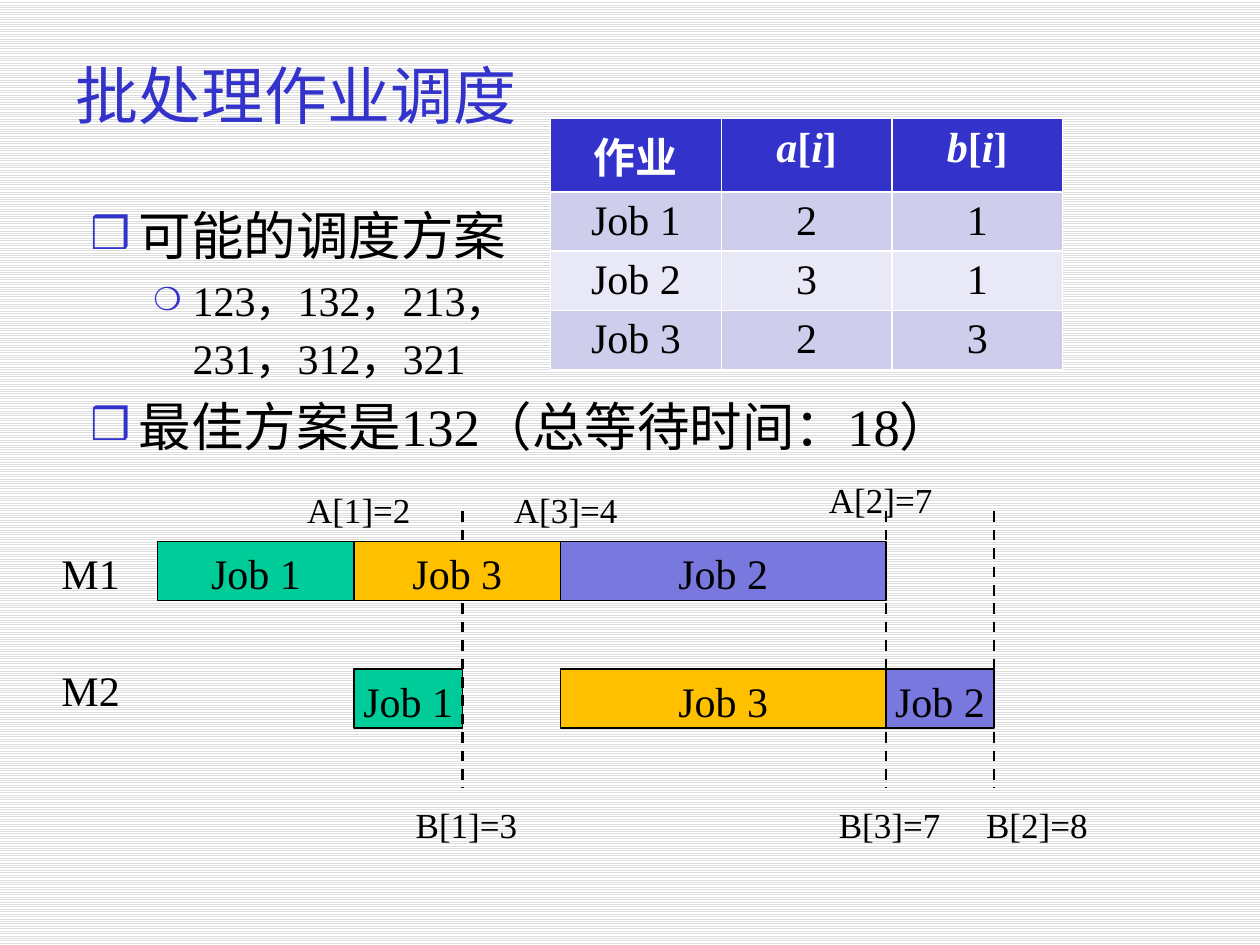
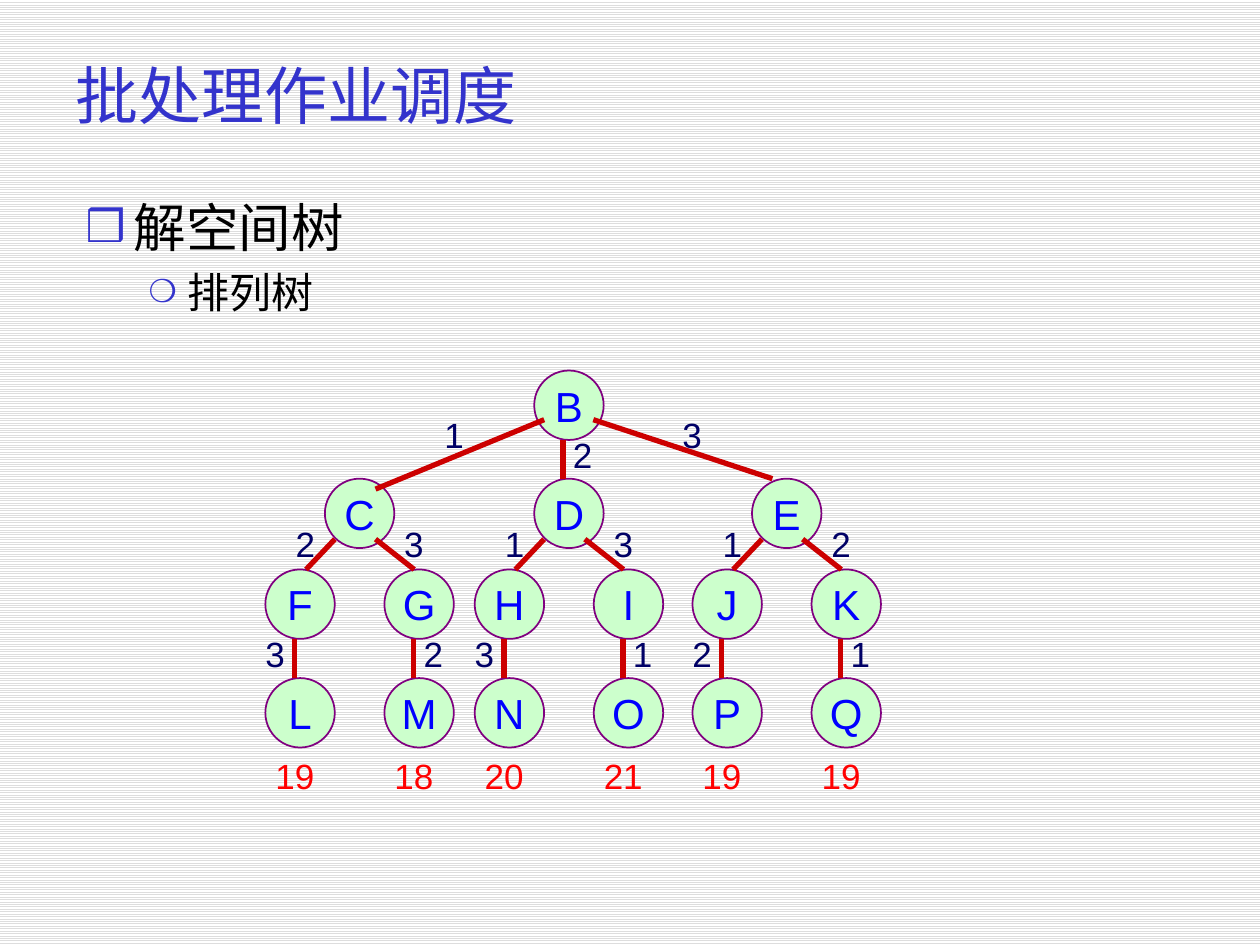
from lxml import etree
from pptx import Presentation
from pptx.dml.color import RGBColor
from pptx.enum import dml, shapes, text
from pptx.oxml import ns
from pptx.util import Cm, Pt

rgb = RGBColor.from_string
BLUE, BLACK, WHITE = "3333CC", "000000", "FFFFFF"
SERIF, SANS = "Times New Roman", "Arial"
CENTER = text.PP_ALIGN.CENTER
TIGHT = dict(margin_left=0, margin_right=0, margin_top=0, margin_bottom=0,
             vertical_anchor=text.MSO_ANCHOR.MIDDLE, word_wrap=False)


def write(para, words, colour, **formats):
    """Add a run of formatted words to the paragraph."""
    span = para.add_run()
    span.text = words
    span.font.color.rgb = rgb(colour)
    for name, value in formats.items():
        setattr(span.font, name, value)


def draw_line(page, start, end, colour, width):
    """Draw a shadowless straight line between two points in cm."""
    line = page.shapes.add_connector(shapes.MSO_CONNECTOR.STRAIGHT,
                                     *map(Cm, start + end))
    line.line.color.rgb = rgb(colour)
    line.line.width = Pt(width)
    etree.SubElement(line._element.spPr, ns.qn("a:effectLst"))
    return line


deck = Presentation()
deck.slide_width, deck.slide_height = Cm(25.4), Cm(19.05)
backdrop = deck.slide_master.background.fill
backdrop.patterned()
backdrop.pattern = dml.MSO_PATTERN.LIGHT_HORIZONTAL
backdrop.fore_color.rgb = rgb("DDDDDD")
backdrop.back_color.rgb = rgb(WHITE)

# Titles and lists: (level, bullet, words)
outlines = [
    (1.57, 3.96, [(0, "❒", "可能的调度方案"),
                  (1, "❍", "123，132，213，"),
                  (1, None, "231，312，321"),
                  (0, "❒", "最佳方案是132（总等待时间：18）")]),
    (1.47, 3.81, [(0, "❒", "解空间树"),
                  (1, "❍", "排列树")]),
]
# By level: text size, left margin, hanging indent, bullet percentage
levels = [(30, 0.97, 0.97, 85), (24, 2.06, 0.79, 75)]
pages = []
for left, top, items in outlines:
    page = deck.slides.add_slide(deck.slide_layouts[1])
    pages.append(page)
    title, body = page.placeholders
    for box, place in ((title, (1.27, 0.64, 21.59, 2.54)),
                       (body, (left, top, 21.59, 13.54))):
        box.left, box.top, box.width, box.height = map(Cm, place)
        box.text_frame.auto_size = text.MSO_AUTO_SIZE.NONE
    title.text_frame.vertical_anchor = text.MSO_ANCHOR.MIDDLE
    para = title.text_frame.paragraphs[0]
    para.alignment = text.PP_ALIGN.LEFT
    write(para, "批处理作业调度", BLUE, size=Pt(36), name=SERIF)

    for index, (level, bullet, words) in enumerate(items):
        frame = body.text_frame
        para = frame.add_paragraph() if index else frame.paragraphs[0]
        size, margin, hanging, percent = levels[level]
        para.level = level
        para.space_before = Pt(size * 0.2 if index else 0)
        props = para._p.get_or_add_pPr()
        props.set("marL", str(Cm(margin)))
        props.set("indent", str(-Cm(hanging) if bullet else 0))
        if bullet:
            tint = etree.SubElement(props, ns.qn("a:buClr"))
            etree.SubElement(tint, ns.qn("a:srgbClr"), val=BLUE)
            etree.SubElement(props, ns.qn("a:buSzPct"), val=str(percent * 1000))
            etree.SubElement(props, ns.qn("a:buChar"), char=bullet)
        else:
            etree.SubElement(props, ns.qn("a:buNone"))
        write(para, words, BLACK, size=Pt(size), name=SERIF)

schedule, tree = pages

# Job table; header words are split into (words, italic)
header = [[("作业", False)]] + [
    [(name, True), ("[", False), ("i", True), ("]", False)] for name in "ab"]
times = [("Job 1", "2", "1"), ("Job 2", "3", "1"), ("Job 3", "2", "3")]
rows = [header] + [[[(value, False)] for value in row] for row in times]
table = schedule.shapes.add_table(4, 3, Cm(11.1), Cm(2.39),
                                  Cm(10.32), Cm(4.76)).table
for r, row in enumerate(rows):
    for c, spans in enumerate(row):
        cell = table.cell(r, c)
        cell.fill.solid()
        cell.fill.fore_color.rgb = rgb((BLUE, "CECEEC", "E8E8F6", "CECEEC")[r])
        para = cell.text_frame.paragraphs[0]
        para.alignment = CENTER
        for words, italic in spans:
            write(para, words, BLACK if r else WHITE, size=Pt(24), name=SERIF,
                  bold=r == 0, italic=italic)

# Gantt bars: job, colour, (left, width) on M1 and on M2
jobs = [("Job 1", "00CC99", (3.18, 3.96), (7.14, 2.18)),
        ("Job 3", "FFC000", (7.14, 4.16), (11.3, 6.56)),
        ("Job 2", "7878DE", (11.3, 6.56), (17.86, 2.18))]
for job, colour, *bars in jobs:
    for (left, width), top in zip(bars, (10.92, 13.49)):
        bar = schedule.shapes.add_shape(shapes.MSO_SHAPE.RECTANGLE, Cm(left),
                                        Cm(top), Cm(width), Cm(1.19))
        bar.shadow.inherit = False
        bar.fill.solid()
        bar.fill.fore_color.rgb = rgb(colour)
        bar.line.color.rgb = rgb(BLACK)
        bar.line.width = Pt(0.75)
        bar.text_frame.word_wrap = False
        bar.text_frame.vertical_anchor = text.MSO_ANCHOR.TOP
        para = bar.text_frame.paragraphs[0]
        para.alignment = CENTER
        write(para, job, BLACK, size=Pt(24), name=SERIF)
    finish = left + width
    marker = draw_line(schedule, (finish, 10.31), (finish, 15.88), BLACK, 1.5)
    marker.line.dash_style = dml.MSO_LINE.DASH

# Machine names and finish times: words, left, top, width, size
notes = [("M1", 0.99, 10.92, 1.7, 24), ("M2", 0.99, 13.28, 1.7, 24),
         ("A[1]=2", 5.94, 9.73, 2.62, 20), ("A[3]=4", 10.11, 9.73, 2.62, 20),
         ("A[2]=7", 16.46, 9.53, 2.62, 20), ("B[1]=3", 8.13, 16.08, 2.57, 20),
         ("B[3]=7", 16.66, 16.08, 2.57, 20), ("B[2]=8", 19.63, 16.08, 2.57, 20)]
for words, left, top, width, size in notes:
    box = schedule.shapes.add_textbox(Cm(left), Cm(top), Cm(width), Cm(1.12))
    box.text_frame.word_wrap = False
    box.text_frame.auto_size = text.MSO_AUTO_SIZE.SHAPE_TO_FIT_TEXT
    write(box.text_frame.paragraphs[0], words, BLACK, size=Pt(size), name=SERIF)

# Permutation tree: collect nodes, edges and labels, then draw them
NAVY, RED = "000066", "FF0000"
nodes = [("B", 10.77, 7.47)]
edges = [((10.97, 8.46), (7.57, 9.86)), ((11.35, 8.86), (11.35, 9.65)),
         ((11.96, 8.46), (15.57, 9.65))]
labels = [("1", 8.76, 8.26, NAVY), ("2", 11.35, 8.66, NAVY),
          ("3", 13.56, 8.26, NAVY)]
# Per subtree: root, left, then (child, leaf, first edge, second edge, score)
subtrees = [
    ("C", 6.55, ("F", "L", "2", "3", "19"), ("G", "M", "3", "2", "18")),
    ("D", 10.77, ("H", "N", "1", "3", "20"), ("I", "O", "3", "1", "21")),
    ("E", 15.16, ("J", "P", "1", "2", "19"), ("K", "Q", "2", "1", "19"))]
# Offsets of left and right branch: child, edge start, edge end, two labels
sides = [(-1.2, 0.2, -0.38, -0.79, -0.2), (1.2, 1.02, 1.8, 1.4, 0.59)]
for root, left, *branches in subtrees:
    nodes.append((root, left, 9.65))
    for branch, side in zip(branches, sides):
        child, leaf, first, second, score = branch
        shift, start, end, first_shift, second_shift = side
        column = left + shift
        nodes += [(child, column, 11.48), (leaf, column, 13.67)]
        edges += [((left + start, 10.87), (left + end, 11.48)),
                  ((column + 0.59, 12.88), (column + 0.59, 13.67))]
        labels += [(first, left + first_shift, 10.46, NAVY),
                   (second, column + second_shift, 12.67, NAVY),
                   (score, column + 0.2, 15.14, RED)]

captions = []
for name, left, top in nodes:
    node = tree.shapes.add_shape(shapes.MSO_SHAPE.OVAL, Cm(left), Cm(top),
                                 Cm(1.4), Cm(1.4))
    node.shadow.inherit = False
    node.fill.solid()
    node.fill.fore_color.rgb = rgb("CCFFCC")
    node.line.color.rgb = rgb("800080")
    node.line.width = Pt(1)
    captions.append((node, name, "0000FF", 24))
for start, end in edges:
    draw_line(tree, start, end, "CC0000", 3)
for words, left, top, colour in labels:
    box = tree.shapes.add_textbox(Cm(left), Cm(top), Cm(0.79), Cm(1))
    captions.append((box, words, colour, 20))
for box, words, colour, size in captions:
    for name, value in TIGHT.items():
        setattr(box.text_frame, name, value)
    para = box.text_frame.paragraphs[0]
    para.alignment = CENTER
    write(para, words, colour, size=Pt(size), name=SANS)

deck.save("out.pptx")
